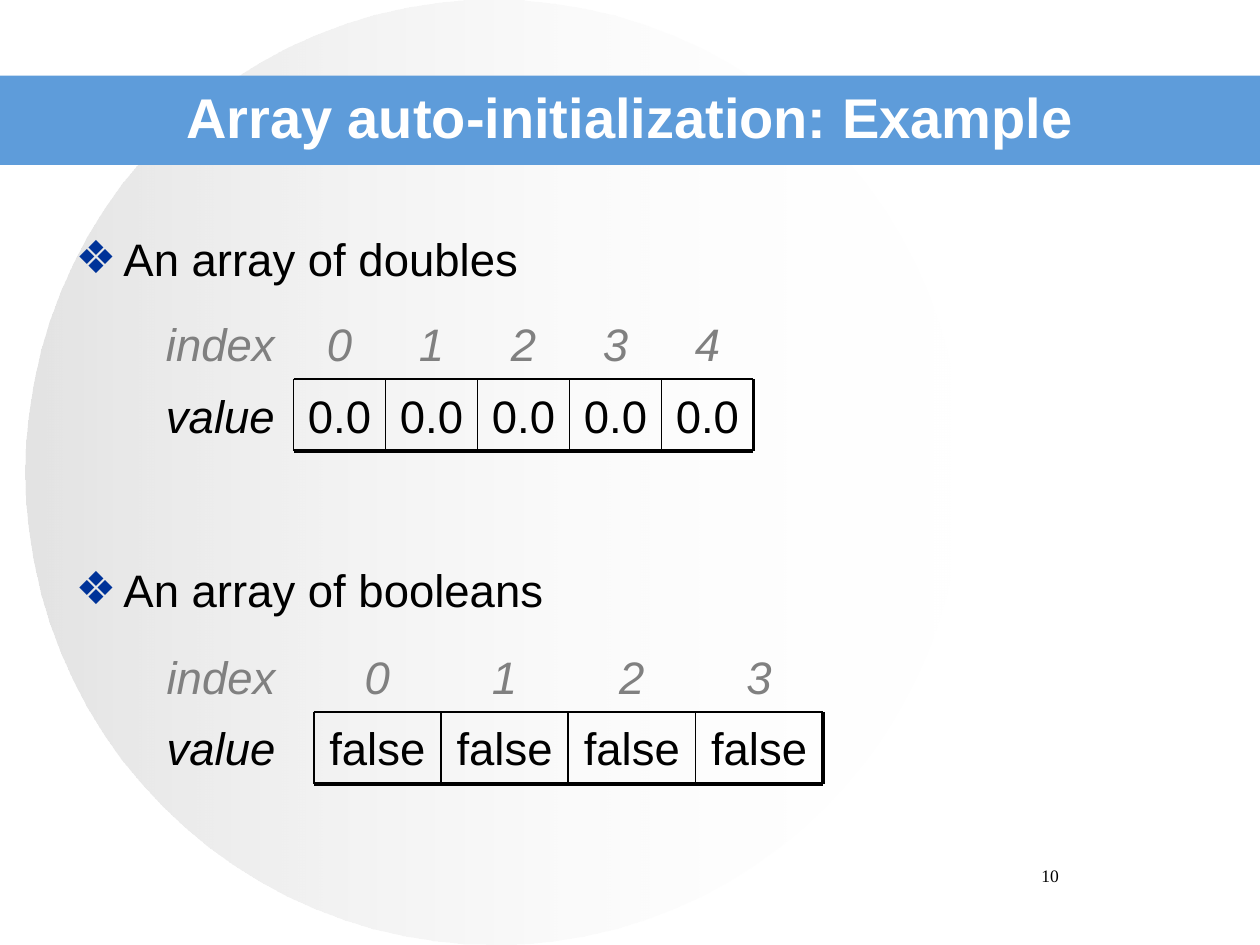
from lxml.etree import SubElement
from pptx import Presentation
from pptx.dml.color import RGBColor
from pptx.enum.shapes import MSO_CONNECTOR, MSO_SHAPE
from pptx.enum.text import MSO_ANCHOR, MSO_AUTO_SIZE, PP_ALIGN
from pptx.oxml.ns import qn
from pptx.util import Inches, Pt

BLACK, GRAY, WHITE = "000000", "808080", "FFFFFF"
ROW = 0.57


def color(code):
    """Turn a hex string into a colour."""
    return RGBColor.from_string(code)


def write(para, text, size=26, font="Arial", ink=BLACK, bold=False,
          italic=False, align=PP_ALIGN.CENTER, before=0):
    """Put formatted text into a paragraph."""
    para.alignment = align
    para.space_before = Pt(before)
    run = para.add_run()
    run.text = text
    face = run.font
    face.name, face.size = font, Pt(size)
    face.bold, face.italic = bold, italic
    face.color.rgb = color(ink)


def label(shapes, text, x, y, w, h=ROW, anchor=MSO_ANCHOR.MIDDLE, **style):
    """Add a text box with one line of text."""
    box = shapes.add_textbox(Inches(x), Inches(y), Inches(w), Inches(h))
    frame = box.text_frame
    frame.word_wrap = True
    frame.vertical_anchor = anchor
    write(frame.paragraphs[0], text, **style)


def rule(shapes, x1, y1, x2, y2, width):
    """Add a black line without shadow."""
    line = shapes.add_connector(MSO_CONNECTOR.STRAIGHT, Inches(x1), Inches(y1),
                                Inches(x2), Inches(y2))
    line.line.color.rgb = color(BLACK)
    line.line.width = Pt(width)
    SubElement(line.element.spPr, qn("a:effectLst"))


def plain(slide, kind, x, y, w, h):
    """Add a shape without outline or shadow."""
    shape = slide.shapes.add_shape(kind, Inches(x), Inches(y), Inches(w), Inches(h))
    shape.shadow.inherit = False
    shape.line.fill.background()
    return shape


def backdrop(slide):
    """Draw the fading disc and the title band."""
    disc = plain(slide, MSO_SHAPE.OVAL, 0.2, 0, 7.44, 7.5)
    disc.fill.gradient()
    disc.fill.gradient_angle = 0
    for stop, code in zip(disc.fill.gradient_stops, ("C0C0C0", WHITE)):
        stop.color.rgb = color(code)
    tones = disc.element.spPr.iter(qn("a:srgbClr"))
    for tone, alpha in zip(tones, (44, 0)):
        SubElement(tone, qn("a:alpha"), val=str(alpha * 1000))
    band = plain(slide, MSO_SHAPE.RECTANGLE, 0, 0.6, 10, 0.71)
    band.fill.solid()
    band.fill.fore_color.rgb = color("5E9CDA")


def place(holder, x, y, w, h):
    """Move a placeholder, bring it forward and return its text frame."""
    holder.left, holder.top = Inches(x), Inches(y)
    holder.width, holder.height = Inches(w), Inches(h)
    holder.element.getparent().append(holder.element)
    holder.text_frame.auto_size = MSO_AUTO_SIZE.NONE
    return holder.text_frame


def bullet(para):
    """Give a paragraph a blue diamond bullet with a hanging indent."""
    props = para._p.get_or_add_pPr()
    props.set("marL", str(Inches(0.38)))
    props.set("indent", str(-Inches(0.38)))
    SubElement(SubElement(props, qn("a:buClr")), qn("a:srgbClr"), val="003399")
    SubElement(props, qn("a:buChar"), char="❖")


def array(slide, values, left, start, top, cell):
    """Draw an array as a row of indices above a row of boxed values."""
    shapes = slide.shapes.add_group_shape().shapes
    mid, low = top + ROW, top + 2 * ROW
    end = start + cell * len(values)
    label(shapes, "index", left, top, start - left, ink=GRAY, italic=True)
    label(shapes, "value", left, mid, start - left, italic=True)
    for i, value in enumerate(values):
        x = start + i * cell
        label(shapes, str(i), x, top, cell, ink=GRAY, italic=True)
        label(shapes, value, x, mid, cell)
        rule(shapes, x, mid, x, low, 1)
    rule(shapes, end, mid, end, low, 2.25)
    rule(shapes, start, mid, end, mid, 1)
    rule(shapes, start, low, end, low, 2.25)


def main():
    """Build and save the slide."""
    deck = Presentation()
    deck.slide_width, deck.slide_height = Inches(10), Inches(7.5)
    slide = deck.slides.add_slide(deck.slide_layouts[1])
    backdrop(slide)
    label(slide.shapes, "10", 7.17, 6.82, 2.33, 0.5, anchor=MSO_ANCHOR.TOP,
          size=10, font="Times New Roman")

    title = place(slide.shapes.title, 0.5, 0.3, 9, 1.25)
    title.vertical_anchor = MSO_ANCHOR.MIDDLE
    write(title.paragraphs[0], "Array auto-initialization: Example",
          size=32, ink=WHITE, bold=True)

    body = place(slide.placeholders[1], 0.5, 1.75, 9, 4.95)
    body.margin_top = Inches(0.08)
    first, second = body.paragraphs[0], body.add_paragraph()
    for para, text, gap in ((first, "An array of doubles", 0),
                            (second, "An array of booleans", 158)):
        bullet(para)
        write(para, text, align=PP_ALIGN.LEFT, before=gap)

    array(slide, ["0.0"] * 5, 1.17, 2.33, 2.44, 0.73)
    array(slide, ["false"] * 4, 1.02, 2.49, 5.08, 1.01)
    deck.save("out.pptx")


if __name__ == "__main__":
    main()
